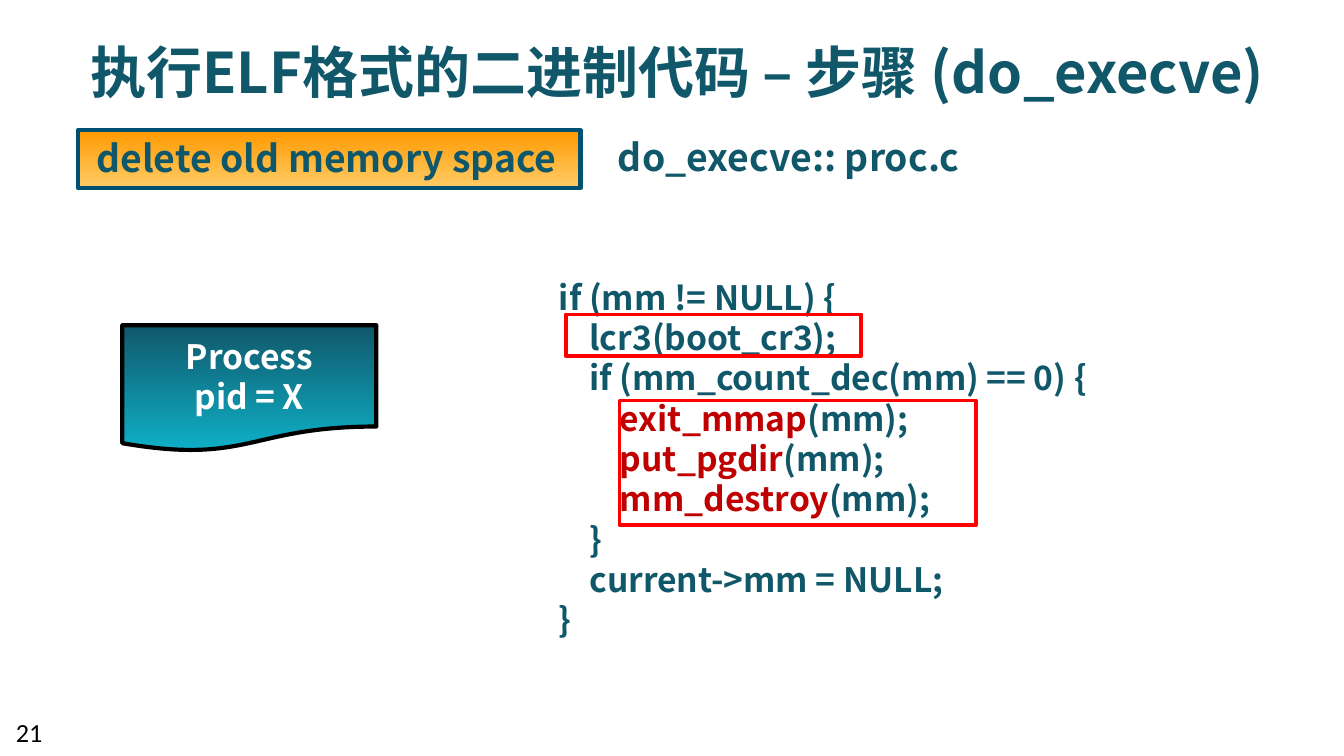
from pptx import Presentation
from pptx.dml.color import RGBColor
from pptx.enum.shapes import MSO_SHAPE
from pptx.enum.text import PP_ALIGN
from pptx.oxml.ns import qn
from pptx.util import Inches, Pt
from lxml.etree import SubElement

TEAL = RGBColor(0x11, 0x57, 0x6A)
AQUA = RGBColor(0x0E, 0xB1, 0xC8)
NAVY = RGBColor(0x00, 0x50, 0x72)
SAND = RGBColor(0xFF, 0xCC, 0x66)
AMBER = RGBColor(0xFF, 0x99, 0x00)
DARK = RGBColor(0xC0, 0x00, 0x00)
RED = RGBColor(0xFF, 0x00, 0x00)
BLACK = RGBColor(0x00, 0x00, 0x00)
WHITE = RGBColor(0xFF, 0xFF, 0xFF)
SANS = "Noto Sans CJK SC"

# Each code line: indent level, highlighted call, plain rest
CODE = [
    (0, "", "if (mm != NULL) {"),
    (1, "", "lcr3(boot_cr3);"),
    (1, "", "if (mm_count_dec(mm) == 0) {"),
    (2, "exit_mmap", "(mm);"),
    (2, "put_pgdir", "(mm);"),
    (2, "mm_destroy", "(mm);"),
    (1, "", "}"),
    (1, "", "current->mm = NULL;"),
    (0, "", "}"),
]


def set_font(para, size, color, name=SANS, bold=True):
    font = para.font
    font.size, font.bold, font.name = Pt(size), bold, name
    font.color.rgb = color
    props = para._p.pPr.find(qn("a:defRPr"))
    SubElement(props, qn("a:ea")).set("typeface", name)


def add_box(slide, box, wrap=True):
    frame = slide.shapes.add_textbox(*map(Inches, box)).text_frame
    frame.word_wrap = wrap
    return frame


def add_text(slide, box, text, size, color=TEAL, align=PP_ALIGN.LEFT,
             wrap=True, name=SANS, bold=True):
    frame = add_box(slide, box, wrap)
    frame.text = text
    for para in frame.paragraphs:
        para.alignment = align
        set_font(para, size, color, name, bold)


def add_code(slide, box):
    frame = add_box(slide, box)
    for i, (level, call, rest) in enumerate(CODE):
        para = frame.add_paragraph() if i else frame.paragraphs[0]
        set_font(para, 18, TEAL)
        indent = "    " * level
        if call:
            para.add_run().text = indent
            run = para.add_run()
            run.text = call
            run.font.color.rgb = DARK
            para.add_run().text = rest
        else:
            para.add_run().text = indent + rest


def add_shape(slide, kind, box, line, width, blend=None):
    shape = slide.shapes.add_shape(kind, *map(Inches, box))
    shape.shadow.inherit = False
    shape.line.color.rgb = line
    shape.line.width = Pt(width)
    if blend:
        shape.fill.gradient()
        shape.fill.gradient_angle = 90
        for stop, color in zip(shape.fill.gradient_stops, blend):
            stop.color.rgb = color
    else:
        shape.fill.background()


def main():
    deck = Presentation()
    # Widescreen, 16 to 9
    deck.slide_width = Inches(10)
    deck.slide_height = Inches(10 * 9 / 16)
    slide = deck.slides.add_slide(deck.slide_layouts[6])
    mid = PP_ALIGN.CENTER

    # Title and source file
    add_text(slide, (0.39, 0.23, 9.3, 0.61),
             "执行ELF格式的二进制代码 – 步骤 (do_execve)", 30, align=mid)
    add_text(slide, (4.5, 0.95, 2.76, 0.44), "do_execve:: proc.c", 20,
             wrap=False)

    # Code
    add_code(slide, (4.06, 2.01, 4.42, 2.83))

    # Step label
    add_shape(slide, MSO_SHAPE.RECTANGLE, (0.58, 0.97, 3.74, 0.43),
              NAVY, 2.25, (SAND, AMBER))
    add_text(slide, (0.55, 0.96, 3.76, 0.35), "delete old memory space", 20,
             align=mid, wrap=False)

    # Page number
    add_text(slide, (0.02, 5.28, 0.48, 0.3), "21", 14, BLACK,
             name="Calibri", bold=False)

    # Frames around the key calls
    for box in ((4.21, 2.34, 2.2, 0.31), (4.61, 2.98, 2.65, 0.93)):
        add_shape(slide, MSO_SHAPE.RECTANGLE, box, RED, 2)

    # Process
    add_shape(slide, MSO_SHAPE.FLOWCHART_DOCUMENT, (0.91, 2.42, 1.89, 0.94),
              BLACK, 2.25, (AQUA, TEAL))
    add_text(slide, (1.27, 2.45, 1.17, 0.71), "Process\npid = X", 18, WHITE,
             align=mid, wrap=False)

    deck.save("out.pptx")


if __name__ == "__main__":
    main()
